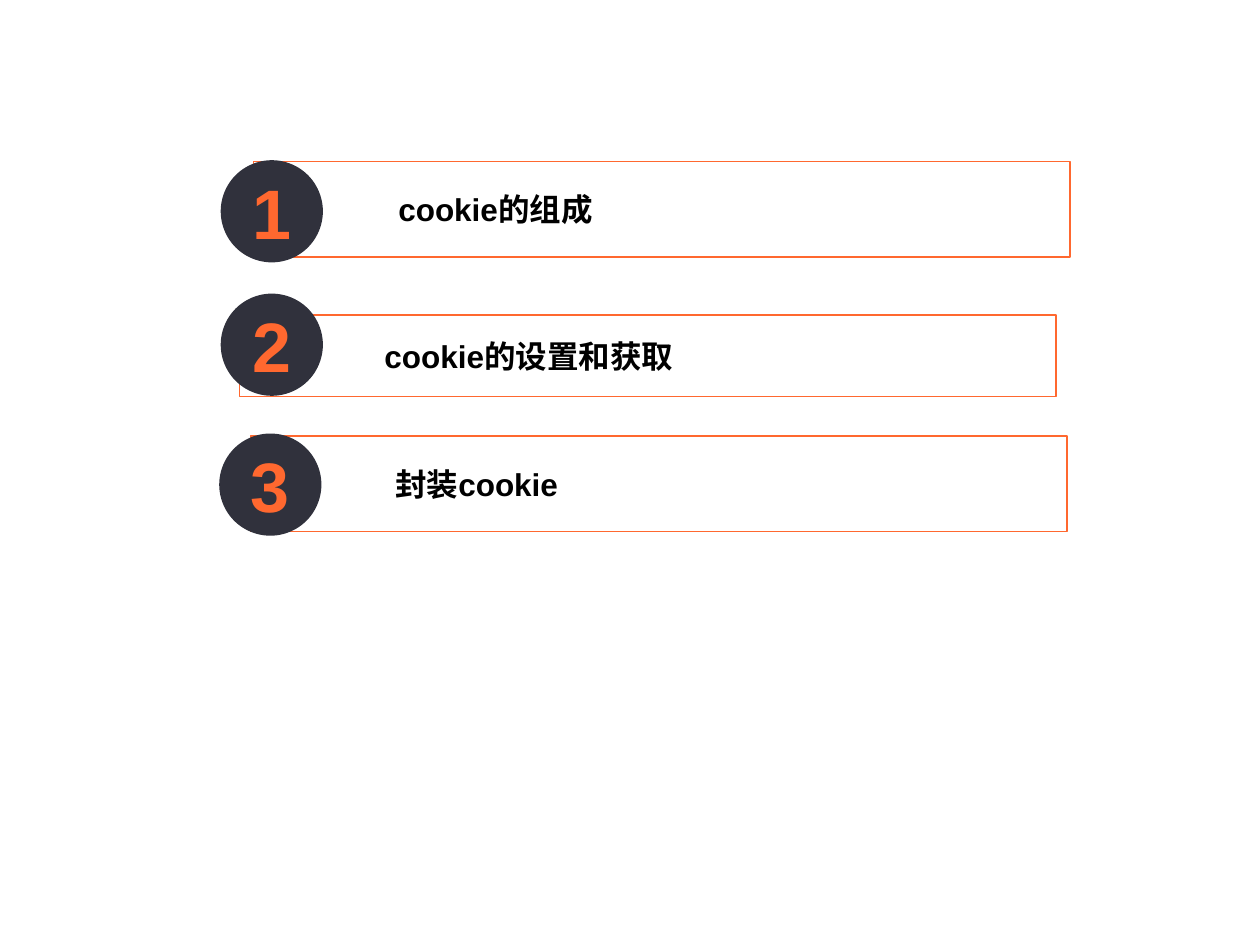
from lxml import etree
from pptx import Presentation
from pptx.dml.color import RGBColor
from pptx.enum.shapes import MSO_SHAPE as Shape
from pptx.enum.text import MSO_ANCHOR as Anchor, PP_ALIGN as Align
from pptx.oxml.ns import qn
from pptx.util import Cm, Pt

ORANGE = RGBColor(0xFF, 0x68, 0x2F)
DARK = RGBColor(0x30, 0x31, 0x3C)
WHITE = RGBColor(0xFF, 0xFF, 0xFF)
BLACK = RGBColor(0x00, 0x00, 0x00)

BAR_WIDTH = 16.46
BADGE_SIZE = 2.06

# Topic, bar box (left, top, width, height), badge offset from the bar; all in cm
TOPICS = [
    ("cookie的组成", (5.11, 3.25, BAR_WIDTH, 1.93), (-0.66, -0.02)),
    ("cookie的设置和获取", (4.83, 6.35, BAR_WIDTH, 1.65), (-0.38, -0.43)),
    ("封装cookie", (5.05, 8.79, BAR_WIDTH, 1.93), (-0.63, -0.05)),
]


def add_filled_shape(page, kind, box, color):
    shape = page.shapes.add_shape(kind, *(Cm(length) for length in box))
    shape.shadow.inherit = False
    shape.fill.solid()
    shape.fill.fore_color.rgb = color
    return shape


def write_text(shape, text, size, color, align):
    frame = shape.text_frame
    frame.word_wrap = True
    frame.vertical_anchor = Anchor.MIDDLE
    para = frame.paragraphs[0]
    para.text = text
    para.alignment = align
    para.font.name = "Arial"
    para.font.size = Pt(size)
    para.font.bold = True
    para.font.color.rgb = color
    return para


def add_topic(page, number, topic, box, badge_offset):
    left, top = box[:2]

    # Outlined bar with a translucent fill
    bar = add_filled_shape(page, Shape.RECTANGLE, box, WHITE)
    fill_color = bar.fill._xPr.find(qn("a:solidFill"))[0]
    etree.SubElement(fill_color, qn("a:alpha")).set("val", "40000")
    bar.line.color.rgb = ORANGE
    bar.line.width = Pt(0.75)
    frame = bar.text_frame
    frame.margin_left = Cm(1.65)
    frame.margin_top = frame.margin_right = frame.margin_bottom = Cm(0.2)
    para = write_text(bar, topic, 18, BLACK, Align.LEFT)
    para.level = 1
    properties = para._p.get_or_add_pPr()
    properties.set("marL", str(Cm(1.27)))
    properties.set("indent", "0")

    # Round number badge over the left end of the bar
    badge_box = (left + badge_offset[0], top + badge_offset[1],
                 BADGE_SIZE, BADGE_SIZE)
    badge = add_filled_shape(page, Shape.OVAL, badge_box, DARK)
    badge.line.fill.background()
    write_text(badge, str(number), 40, ORANGE, Align.CENTER)


def main():
    deck = Presentation()
    deck.slide_width, deck.slide_height = Cm(25.4), Cm(19.05)
    page = deck.slides.add_slide(deck.slide_layouts[6])
    for number, (topic, box, badge_offset) in enumerate(TOPICS, start=1):
        add_topic(page, number, topic, box, badge_offset)
    deck.save("out.pptx")


if __name__ == "__main__":
    main()
